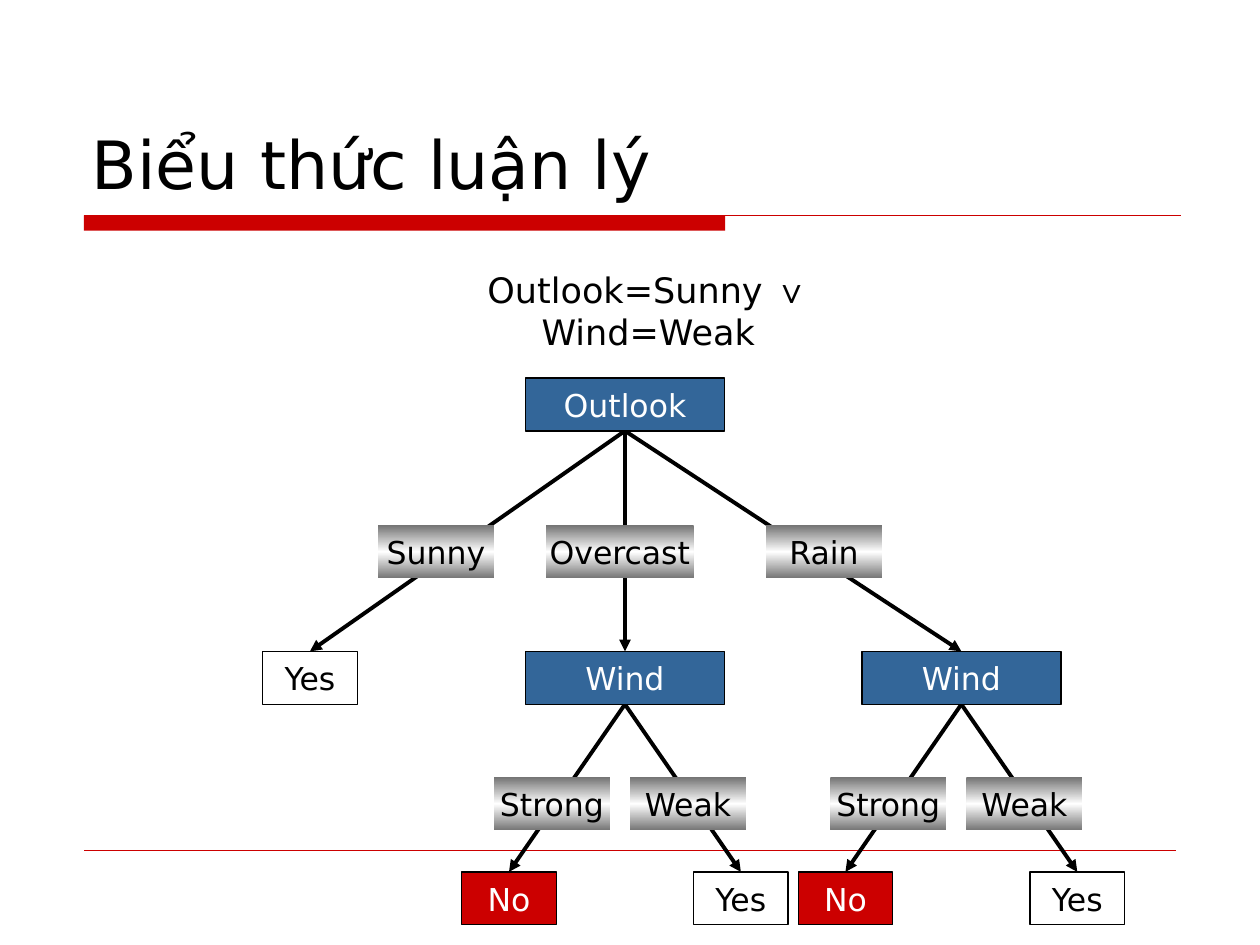
from copy import deepcopy
from dataclasses import dataclass

from lxml.etree import SubElement
from pptx import Presentation
from pptx.dml.color import RGBColor
from pptx.enum.shapes import MSO_CONNECTOR, MSO_SHAPE
from pptx.enum.text import MSO_ANCHOR, PP_ALIGN
from pptx.oxml.ns import qn
from pptx.util import Inches, Pt

FONT = "DejaVu Sans"
BLACK, WHITE, RED, BLUE, GREY = "000000", "FFFFFF", "CC0000", "336699", "757575"
BOX_HEIGHT = 0.42
ROOT_TOP, WIND_TOP, LEAF_TOP = 3, 5.17, 6.92
OUTLOOK_LABEL_TOP, WIND_LABEL_TOP = 4.17, 6.17


@dataclass
class Node:
    text: str
    center: float
    top: float
    width: float
    fill: str
    color: str


@dataclass
class Branch:
    parent: Node
    child: Node
    label: str
    label_center: float
    label_top: float
    label_width: float = 0.92


def rgb(value: str) -> RGBColor:
    return RGBColor.from_string(value)


def format_run(run, size: float, color: str, font: str = FONT, bold: bool = False) -> None:
    run.font.size, run.font.name, run.font.bold = Pt(size), font, bold
    run.font.color.rgb = rgb(color)


def add_box(slide, center: float, top: float, width: float, height: float = BOX_HEIGHT):
    shape = slide.shapes.add_shape(
        MSO_SHAPE.RECTANGLE, Inches(center - width / 2), Inches(top), Inches(width), Inches(height))
    shape.shadow.inherit = False
    return shape


def set_box_text(shape, text: str, color: str) -> None:
    frame = shape.text_frame
    frame.text = text
    frame.word_wrap = False
    frame.vertical_anchor = MSO_ANCHOR.MIDDLE
    paragraph = frame.paragraphs[0]
    paragraph.alignment = PP_ALIGN.CENTER
    format_run(paragraph.runs[0], 18, color)


def add_line(slide, x1: float, y1: float, x2: float, y2: float,
             color: str, width: float, arrow: bool = False) -> None:
    line = slide.shapes.add_connector(
        MSO_CONNECTOR.STRAIGHT, Inches(x1), Inches(y1), Inches(x2), Inches(y2))
    line.line.color.rgb = rgb(color)
    line.line.width = Pt(width)
    properties = line.element.spPr
    if arrow:
        SubElement(properties.find(qn("a:ln")), qn("a:tailEnd"), type="triangle")
    SubElement(properties, qn("a:effectLst"))


def add_node(slide, node: Node) -> None:
    shape = add_box(slide, node.center, node.top, node.width)
    shape.fill.solid()
    shape.fill.fore_color.rgb = rgb(node.fill)
    shape.line.color.rgb = rgb(BLACK)
    shape.line.width = Pt(0.75)
    set_box_text(shape, node.text, node.color)


def add_arrow(slide, branch: Branch) -> None:
    parent, child = branch.parent, branch.child
    add_line(slide, parent.center, parent.top + BOX_HEIGHT, child.center, child.top,
             BLACK, 2.25, arrow=True)


def add_label(slide, branch: Branch) -> None:
    """Draw the branch value on a grey-white-grey vertical gradient."""
    shape = add_box(slide, branch.label_center, branch.label_top, branch.label_width)
    shape.line.fill.background()
    shape.fill.gradient()
    shape.fill.gradient_angle = 90
    stop_list = next(shape.element.spPr.iter(qn("a:gsLst")))
    stop_list.insert(1, deepcopy(stop_list[0]))
    for stop, position, color in zip(shape.fill.gradient_stops, (0, 0.5, 1), (GREY, WHITE, GREY)):
        stop.position = position
        stop.color.rgb = rgb(color)
    set_box_text(shape, branch.label, BLACK)


def add_text(slide, left: float, top: float, width: float, height: float):
    frame = slide.shapes.add_textbox(
        Inches(left), Inches(top), Inches(width), Inches(height)).text_frame
    frame.word_wrap = True
    return frame


def add_heading(slide) -> None:
    bar = add_box(slide, 3.21, 1.71, 5.09, 0.12)
    bar.fill.solid()
    bar.fill.fore_color.rgb = rgb(RED)
    bar.line.fill.background()
    add_line(slide, 0.67, 1.71, 9.37, 1.71, RED, 0.75)
    add_line(slide, 0.67, 6.75, 9.33, 6.75, RED, 0.25)
    frame = add_text(slide, 0.63, 0.33, 8.75, 1.33)
    frame.vertical_anchor = MSO_ANCHOR.BOTTOM
    frame.text = "Biểu thức luận lý"
    format_run(frame.paragraphs[0].runs[0], 38, BLACK)


def add_expression(slide) -> None:
    paragraph = add_text(slide, 3.14, 2.08, 4.01, 0.44).paragraphs[0]
    paragraph.alignment = PP_ALIGN.CENTER
    for text, font, bold in (("Outlook=Sunny ", FONT, False), ("∨", "Arial", True),
                             (" Wind=Weak", FONT, False)):
        run = paragraph.add_run()
        run.text = text
        format_run(run, 20, BLACK, font, bold)


def attribute(text: str, center: float, top: float) -> Node:
    return Node(text, center, top, 1.58, BLUE, WHITE)


def yes(center: float, top: float) -> Node:
    return Node("Yes", center, top, 0.75, WHITE, BLACK)


def no(center: float, top: float) -> Node:
    return Node("No", center, top, 0.75, RED, WHITE)


def wind_branches(wind: Node) -> list[Branch]:
    center = wind.center
    return [
        Branch(wind, no(center - 0.92, LEAF_TOP), "Strong", center - 0.58, WIND_LABEL_TOP),
        Branch(wind, yes(center + 0.92, LEAF_TOP), "Weak", center + 0.5, WIND_LABEL_TOP),
    ]


def main() -> None:
    presentation = Presentation()
    presentation.slide_width, presentation.slide_height = Inches(10), Inches(7.5)
    slide = presentation.slides.add_slide(presentation.slide_layouts[6])
    add_heading(slide)
    add_expression(slide)

    outlook = attribute("Outlook", 4.96, ROOT_TOP)
    winds = [attribute("Wind", center, WIND_TOP) for center in (4.96, 7.63)]
    branches = [
        Branch(outlook, yes(2.46, WIND_TOP), "Sunny", 3.46, OUTLOOK_LABEL_TOP),
        Branch(outlook, winds[0], "Overcast", 4.92, OUTLOOK_LABEL_TOP, 1.17),
        Branch(outlook, winds[1], "Rain", 6.54, OUTLOOK_LABEL_TOP),
    ]
    for wind in winds:
        branches += wind_branches(wind)

    for branch in branches:
        add_arrow(slide, branch)
    for node in [outlook] + [branch.child for branch in branches]:
        add_node(slide, node)
    for branch in branches:
        add_label(slide, branch)
    presentation.save("out.pptx")


if __name__ == "__main__":
    main()
